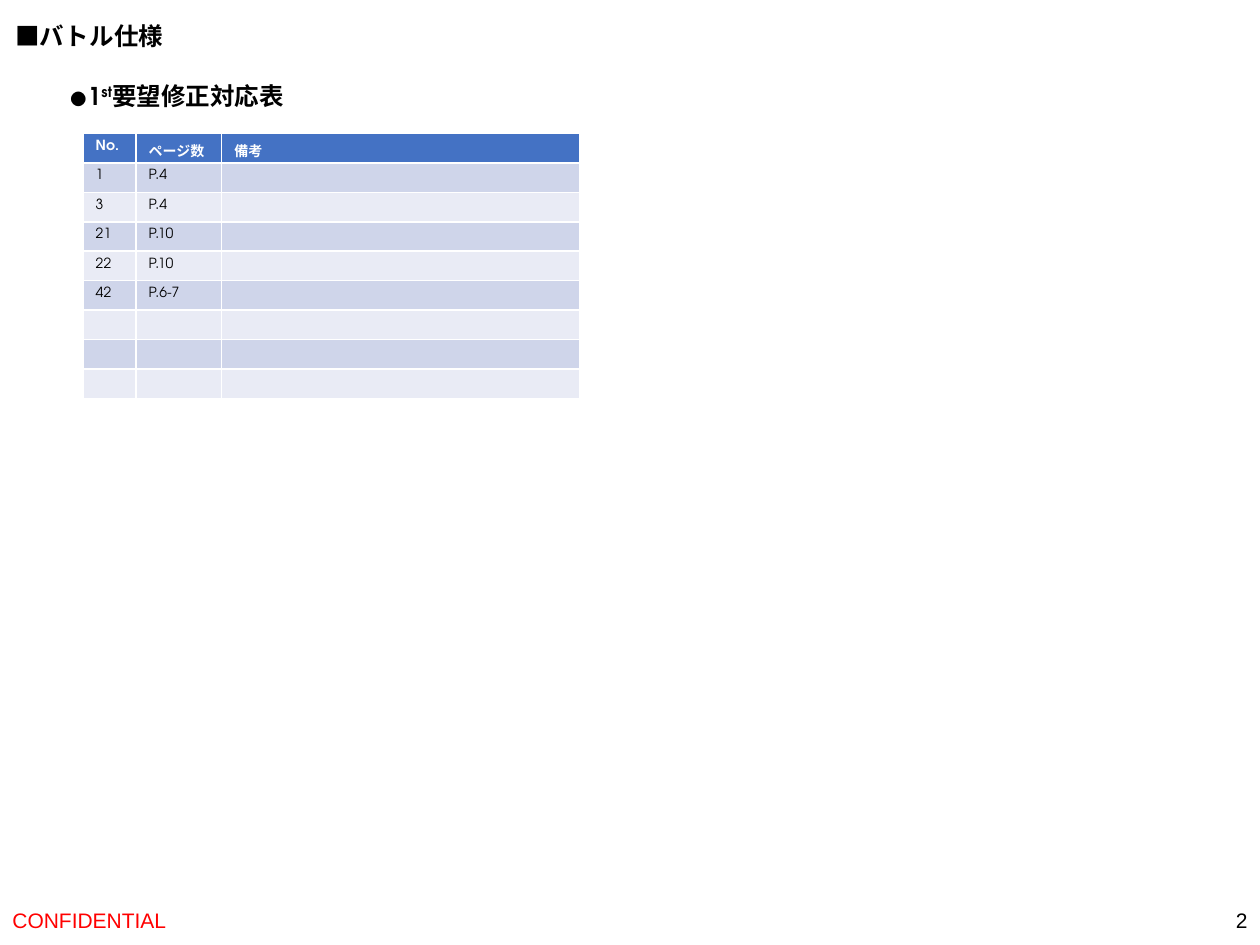
from lxml.etree import SubElement
from pptx import Presentation
from pptx.dml.color import RGBColor
from pptx.enum.text import MSO_ANCHOR, MSO_AUTO_SIZE, PP_ALIGN
from pptx.oxml.ns import qn
from pptx.util import Inches, Pt

THEME = {
    "sans": "Arial", "geometric": "TeX Gyre Adventor",
    "heading": 14, "footer": 12, "cell": 8,
    "black": "000000", "white": "FFFFFF", "red": "FF0000",
    "header": "4472C4", "bands": ("CFD5EA", "E9EBF5"),
}


def add_run(p, text, face, size, color, bold=False):
    r = p.add_run()
    r.text = text
    formats = {"name": THEME[face], "size": Pt(THEME[size]), "bold": bold}
    for name, value in formats.items():
        setattr(r.font, name, value)
    r.font.color.rgb = RGBColor.from_string(THEME[color])
    return r


def place(shape, box, **formats):
    """Set a shape's position in inches and its text frame's attributes."""
    for name, value in zip(("left", "top", "width", "height"), box):
        setattr(shape, name, Inches(value))
    for name, value in formats.items():
        setattr(shape.text_frame, name, value)
    return shape.text_frame.paragraphs[0]


prs = Presentation()
prs.slide_width, prs.slide_height = Inches(10), Inches(7.5)
s = prs.slides.add_slide(prs.slide_layouts[5])

# Footer
for text, left, width, color, align in (
    ("CONFIDENTIAL", 0, 3.38, "red", PP_ALIGN.LEFT),
    ("2", 7.75, 2.25, "black", PP_ALIGN.RIGHT),
):
    p = place(s.shapes.add_textbox(0, 0, 0, 0), (left, 7.1, width, 0.4),
              word_wrap=True, vertical_anchor=MSO_ANCHOR.MIDDLE)
    p.alignment = align
    add_run(p, text, "sans", "footer", color)

# Headings
heading = {"word_wrap": False, "vertical_anchor": MSO_ANCHOR.TOP,
           "auto_size": MSO_AUTO_SIZE.SHAPE_TO_FIT_TEXT}
p = place(s.shapes.title, (0.02, 0.12, 1.38, 0.34), **heading)
p.alignment = PP_ALIGN.LEFT
add_run(p, "■バトル仕様", "sans", "heading", "black", True)

p = place(s.shapes.add_textbox(0, 0, 0, 0), (0.45, 0.59, 2.03, 0.34), **heading)
for text, baseline in (("●1", 0), ("st", 30000), ("要望修正対応表", 0)):
    r = add_run(p, text, "geometric", "heading", "black", True)
    if baseline:
        r.font._element.set("baseline", str(baseline))

# Revision table
rows = [
    ("No.", "ページ数", "備考"),
    ("1", "P.4", ""),
    ("3", "P.4", ""),
    ("21", "P.10", ""),
    ("22", "P.10", ""),
    ("42", "P.6-7", ""),
] + [("", "", "")] * 3
widths = (0.42, 0.68, 2.84)
table = s.shapes.add_table(len(rows), len(widths), Inches(0.66), Inches(1.06),
                           Inches(sum(widths)), Inches(2.1)).table
for column, width in zip(table.columns, widths):
    column.width = Inches(width)

for i, values in enumerate(rows):
    is_header = i == 0
    fill = THEME["header"] if is_header else THEME["bands"][(i - 1) % 2]
    for j, value in enumerate(values):
        cell = table.cell(i, j)
        cell.fill.solid()
        cell.fill.fore_color.rgb = RGBColor.from_string(fill)
        p = cell.text_frame.paragraphs[0]
        if value:
            add_run(p, value, "geometric", "cell",
                    "white" if is_header else "black", is_header)
        else:  # keeps an empty row as low as a filled one
            end = SubElement(p._p, qn("a:endParaRPr"), sz=str(THEME["cell"] * 100))
            SubElement(end, qn("a:latin"), typeface=THEME["geometric"])

prs.save("out.pptx")
